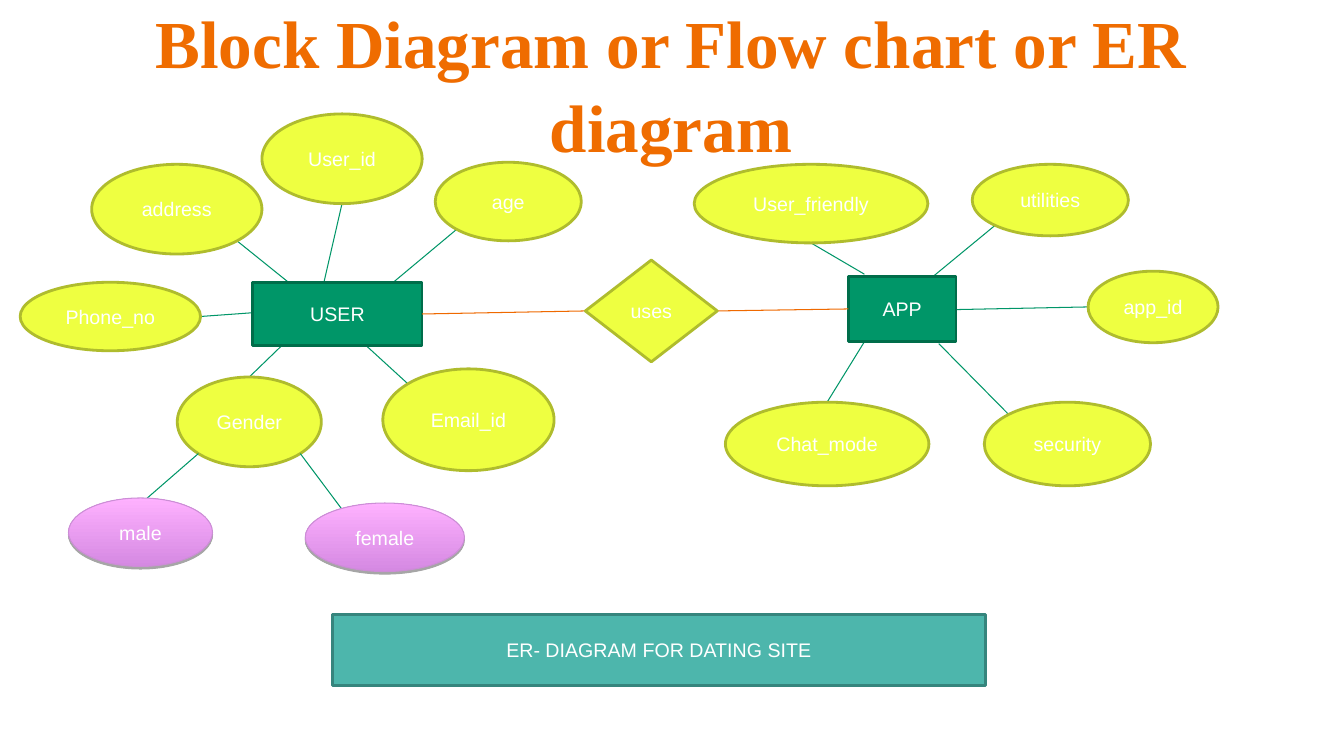
import math

import pptx
import pptx.util
import pptx.dml.color
import pptx.enum.shapes
import pptx.enum.text
import pptx.oxml
import pptx.oxml.ns

RGBColor = pptx.dml.color.RGBColor
Pt = pptx.util.Pt
Inches = pptx.util.Inches
SHAPES = pptx.enum.shapes.MSO_SHAPE

WHITE = RGBColor(0xFF, 0xFF, 0xFF)
ORANGE = RGBColor(0xEF, 0x6C, 0x00)
LINK_ORANGE = RGBColor(0xEF, 0x69, 0x00)
YELLOW = RGBColor(0xEE, 0xFF, 0x41)
OLIVE = RGBColor(0xAF, 0xBC, 0x2D)
GREEN = RGBColor(0x00, 0x96, 0x68)
DARK_GREEN = RGBColor(0x00, 0x6D, 0x4A)
TEAL = RGBColor(0x4D, 0xB6, 0xAC)
DARK_TEAL = RGBColor(0x36, 0x85, 0x7D)
PINK = RGBColor(0xFE, 0xB1, 0xFF)
MAUVE = RGBColor(0xD5, 0x89, 0xE2)
DARK_MAUVE = RGBColor(0xCB, 0x8E, 0xD5)

COLUMNS, ROWS = 13.34, 7.5
SLIDE_WIDTH, SLIDE_HEIGHT = Inches(COLUMNS), Inches(ROWS)
COLUMN, ROW = SLIDE_WIDTH / COLUMNS, SLIDE_HEIGHT / ROWS

STYLES = {
    "attribute": {"kind": SHAPES.OVAL, "fill": YELLOW, "line": OLIVE, "width": 2},
    "value": {"kind": SHAPES.OVAL, "fill": (MAUVE, PINK), "line": DARK_MAUVE, "width": 0.75},
    "entity": {"kind": SHAPES.RECTANGLE, "fill": GREEN, "line": DARK_GREEN, "width": 2},
    "relation": {"kind": SHAPES.DIAMOND, "fill": YELLOW, "line": OLIVE, "width": 2},
    "caption": {"kind": SHAPES.RECTANGLE, "fill": TEAL, "line": DARK_TEAL, "width": 2},
}
LABEL = {"size": Pt(14), "name": "Arial"}
HEADING = {"size": Pt(48), "name": "Times New Roman", "bold": True}
DIRECTIONS = ["E", "SE", "S", "SW", "W", "NW", "N", "NE"]

USER_BOX = (0.2, 1.13)
USER = ("USER", (2.31, 1.67, 1.68, 0.63))
USER_ATTRIBUTES = [
    ("User_id", (2.4, 0, 1.59, 0.89), "S", (0.42, 0)),
    ("age", (4.12, 0.48, 1.45, 0.78), "SW", (0.83, 0)),
    ("Email_id", (3.6, 2.53, 1.7, 1.01), "NW", (0.67, 1)),
    ("address", (0.71, 0.5, 1.69, 0.89), "SE", (0.21, 0)),
    ("Gender", (1.56, 2.61, 1.43, 0.89), "N", (0.17, 1)),
    ("Phone_no", (0, 1.67, 1.79, 0.68), "E", (0, 0.48)),
]
GENDER_VALUES = [
    ("male", (0.48, 3.81, 1.43, 0.68), "SW", (0.46, 0.16)),
    ("female", (2.83, 3.86, 1.58, 0.68), "SE", (0.23, 0.09)),
]
APP_BOX = (6.89, 1.63)
APP = ("APP", (1.53, 1.11, 1.07, 0.65))
APP_ATTRIBUTES = [
    ("app_id", (3.91, 1.06, 1.29, 0.71), "W", (1, 0.51)),
    ("utilities", (2.76, 0, 1.55, 0.71), "SW", (0.79, 0)),
    ("Chat_mode", (0.31, 2.36, 2.02, 0.83), "N", (0.15, 1)),
    ("security", (2.88, 2.36, 1.65, 0.83), "NW", (0.84, 1.03)),
    ("User_friendly", (0, 0, 2.32, 0.78), "S", (0.15, -0.03)),
]


def grid(box):
    return [int(length * unit) for length, unit in zip(box, (COLUMN, ROW, COLUMN, ROW))]


def within(region, box):
    return (region[0] + box[0], region[1] + box[1], box[2], box[3])


def at_share(box, share):
    return [box[0] + share[0] * box[2], box[1] + share[1] * box[3]]


def at_rim(box, direction):
    angle = DIRECTIONS.index(direction) * math.pi / 4
    return at_share(box, (0.5 + math.cos(angle) / 2, 0.5 + math.sin(angle) / 2))


def write(frame, text, font_format, color):
    frame.word_wrap = True
    paragraph = frame.paragraphs[0]
    paragraph.alignment = pptx.enum.text.PP_ALIGN.CENTER
    font = paragraph.add_run().font
    paragraph.runs[0].text = text
    for name, value in font_format.items():
        setattr(font, name, value)
    font.color.rgb = color
    return paragraph


def add_drop_shadow(shape):
    effects = shape._element.spPr.find(pptx.oxml.ns.qn("a:effectLst"))
    effects.append(pptx.oxml.parse_xml(
        f'<a:outerShdw {pptx.oxml.ns.nsdecls("a")} blurRad="0" dist="22860" dir="5400000" '
        'rotWithShape="0"><a:srgbClr val="000000"><a:alpha val="35000"/></a:srgbClr>'
        '</a:outerShdw>'))


def add_node(slide, text, box, style_name):
    style = STYLES[style_name]
    shape = slide.shapes.add_shape(style["kind"], *grid(box))
    shape.shadow.inherit = False
    if style_name == "value":
        shape.fill.gradient()
        shape.fill.gradient_angle = 90
        for stop, color in zip(shape.fill.gradient_stops, style["fill"]):
            stop.color.rgb = color
        add_drop_shadow(shape)
    else:
        shape.fill.solid()
        shape.fill.fore_color.rgb = style["fill"]
    shape.line.color.rgb = style["line"]
    shape.line.width = Pt(style["width"])
    shape.text_frame.vertical_anchor = pptx.enum.text.MSO_ANCHOR.MIDDLE
    write(shape.text_frame, text, LABEL, WHITE)


def add_link(slide, start, end, color):
    link = slide.shapes.add_connector(
        pptx.enum.shapes.MSO_CONNECTOR.STRAIGHT, *grid(start + end))
    link.line.color.rgb = color
    link.line.width = Pt(0.75)
    link._element.spPr.append(pptx.oxml.parse_xml(
        f'<a:effectLst {pptx.oxml.ns.nsdecls("a")}/>'))


def add_title(slide, box):
    frame = slide.shapes.add_textbox(*grid(box)).text_frame
    for side in ("left", "top", "right", "bottom"):
        setattr(frame, f"margin_{side}", Inches(0.13))
    paragraph = write(frame, "Block Diagram or Flow chart or ER diagram", HEADING, ORANGE)
    paragraph.line_spacing = 1.04


def add_entity(slide, region, entity, attributes):
    name, offset = entity
    entity_box = within(region, offset)
    for text, box, direction, share in attributes:
        attribute_box = within(region, box)
        add_link(slide, at_share(entity_box, share), at_rim(attribute_box, direction), GREEN)
        add_node(slide, text, attribute_box, "attribute")
    add_node(slide, name, entity_box, "entity")
    return entity_box


def add_values(slide, region, attribute_box, values):
    for text, box, direction, share in values:
        value_box = within(region, box)
        add_link(slide, at_rim(attribute_box, direction), at_share(value_box, share), GREEN)
        add_node(slide, text, value_box, "value")


def add_relation(slide, box, left_entity, right_entity):
    add_link(slide, at_rim(left_entity, "E"), at_rim(box, "W"), LINK_ORANGE)
    add_link(slide, at_rim(box, "E"), at_rim(right_entity, "W"), LINK_ORANGE)
    add_node(slide, "uses", box, "relation")


def main():
    presentation = pptx.Presentation()
    presentation.slide_width, presentation.slide_height = SLIDE_WIDTH, SLIDE_HEIGHT
    slide = presentation.slides.add_slide(presentation.slide_layouts[6])
    add_title(slide, (0.45, -0.15, 12.42, 1))
    user_box = add_entity(slide, USER_BOX, USER, USER_ATTRIBUTES)
    gender = next(box for text, box, *_ in USER_ATTRIBUTES if text == "Gender")
    add_values(slide, USER_BOX, within(USER_BOX, gender), GENDER_VALUES)
    app_box = add_entity(slide, APP_BOX, APP, APP_ATTRIBUTES)
    add_relation(slide, (5.81, 2.58, 1.31, 1.01), user_box, app_box)
    add_node(slide, "ER- DIAGRAM FOR DATING SITE", (3.3, 6.1, 6.48, 0.7), "caption")
    presentation.save("out.pptx")


if __name__ == "__main__":
    main()
